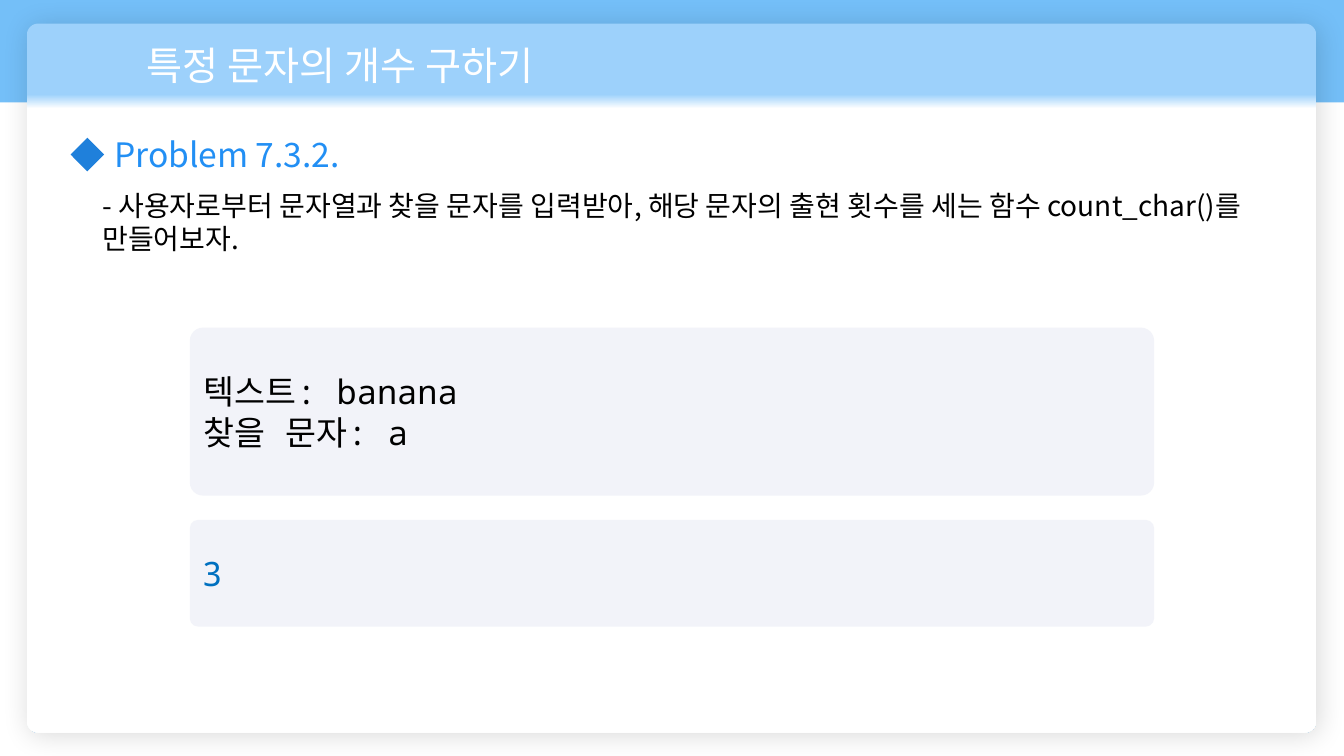
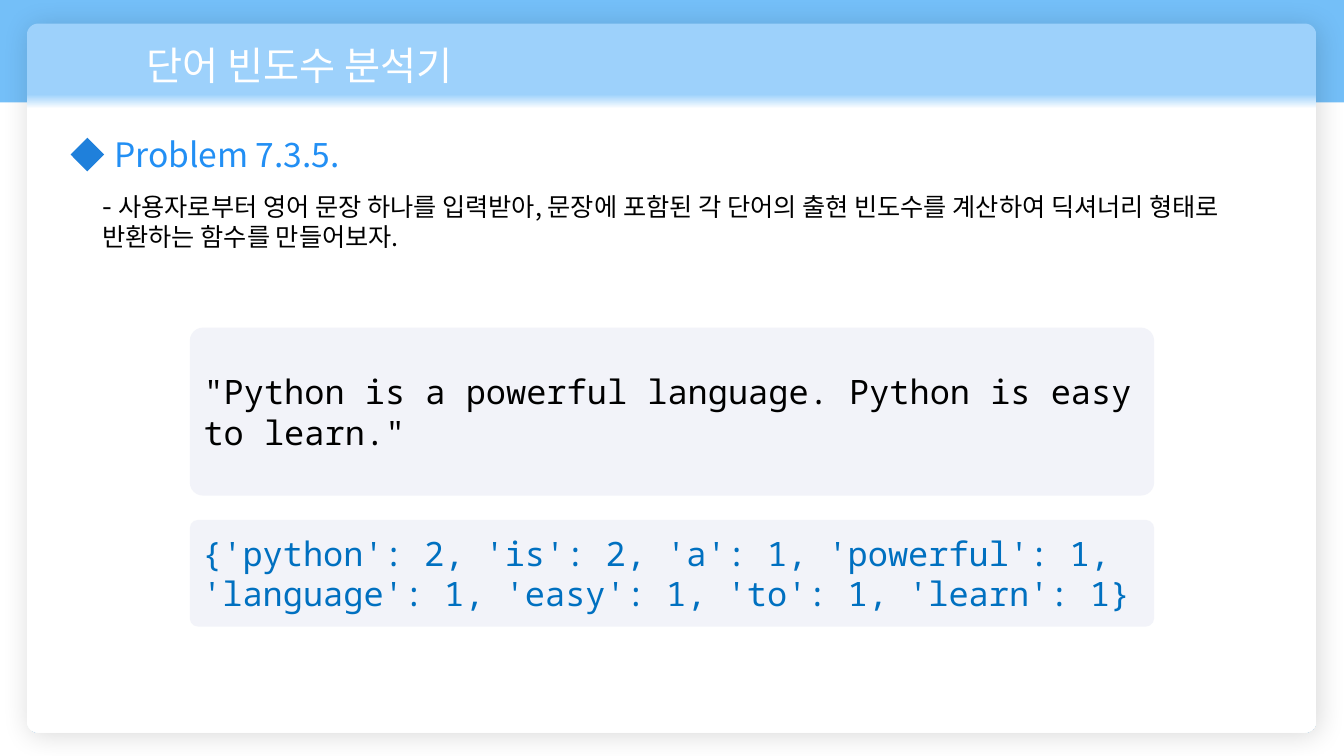
from lxml.etree import SubElement
from pptx import Presentation
from pptx.dml.color import RGBColor
from pptx.enum.shapes import MSO_SHAPE
from pptx.enum.text import MSO_ANCHOR, MSO_AUTO_SIZE, PP_ALIGN
from pptx.oxml import parse_xml
from pptx.oxml.ns import nsdecls, qn
from pptx.util import Inches, Pt

HUES = {
    "band": "74BFF8",
    "head": "9DD1FB",
    "card": "FFFFFF",
    "name": "228FF4",
    "mark": "1F80DB",
    "pane": "F2F3F9",
    "ink": "000000",
    "out": "0070C0",
}
SANS, MONO = "Noto Sans CJK KR", "Noto Sans Mono"
COLS, ROWS = 160, 90


class Deck:
    """Hold the style and the current slide, placed on a 160 by 90 grid."""

    def __init__(self):
        self.prs = Presentation()
        self.prs.slide_width = Inches(13.33)
        self.prs.slide_height = Inches(7.5)
        self.slide = None

    def place(self, x, y, w, h):
        col = self.prs.slide_width / COLS
        row = self.prs.slide_height / ROWS
        return [round(v) for v in (x * col, y * row, w * col, h * row)]

    def shape(self, kind, spot, hue, bend=None):
        item = self.slide.shapes.add_shape(kind, *self.place(*spot))
        item.shadow.inherit = False
        item.fill.solid()
        item.fill.fore_color.rgb = RGBColor.from_string(HUES[hue])
        item.line.fill.background()
        if bend is not None:
            item.adjustments[0] = bend
        return item

    def words(self, frame, runs, hue, face):
        frame.word_wrap = True
        para = frame.paragraphs[0]
        para.alignment = PP_ALIGN.LEFT
        for text, size in runs:
            for i, line in enumerate(text.split("\n")):
                if i:
                    para.add_line_break()
                run = para.add_run()
                run.text = line
                run.font.size = Pt(size)
                run.font.name = face
                run.font.color.rgb = RGBColor.from_string(HUES[hue])
                SubElement(run.font._element, qn("a:ea"), typeface=face)

    def text(self, spot, runs, hue):
        box = self.slide.shapes.add_textbox(*self.place(*spot))
        self.words(box.text_frame, runs, hue, SANS)
        box.text_frame.auto_size = MSO_AUTO_SIZE.SHAPE_TO_FIT_TEXT

    def pane(self, y, h, text, hue):
        item = self.shape(MSO_SHAPE.ROUNDED_RECTANGLE, (22.6, y, 114.8, h), "pane", 0.078)
        item.text_frame.vertical_anchor = MSO_ANCHOR.MIDDLE
        self.words(item.text_frame, [(text, 24)], hue, MONO)

    def card(self):
        item = self.shape(MSO_SHAPE.ROUNDED_RECTANGLE, (3.2, 2.8, 153.5, 84.4), "card", 0.016)
        props = item._element.spPr
        stops = "".join(
            f'<a:gs pos="{pos * 1000}"><a:srgbClr val="{HUES[hue]}"/></a:gs>'
            for pos, hue in ((10, "head"), (12, "card"), (100, "card"))
        )
        fill = parse_xml(
            f'<a:gradFill {nsdecls("a")} rotWithShape="1"><a:gsLst>{stops}</a:gsLst>'
            '<a:lin ang="5400000" scaled="0"/></a:gradFill>'
        )
        props.replace(props.find(qn("a:solidFill")), fill)
        glow = SubElement(
            props.find(qn("a:effectLst")), qn("a:outerShdw"),
            blurRad=str(Pt(20)), dist=str(Pt(3)), dir="2700000", algn="tl", rotWithShape="0",
        )
        tint = SubElement(glow, qn("a:srgbClr"), val=HUES["ink"])
        SubElement(tint, qn("a:alpha"), val="14000")

    def page(self, title, name, task, given, result):
        self.slide = self.prs.slides.add_slide(self.prs.slide_layouts[6])
        self.shape(MSO_SHAPE.RECTANGLE, (0, 0, COLS, 12.2), "band")
        self.card()
        self.text((16.3, 4.3, 78, 6.8), [(title, 28)], "card")
        self.text((12.4, 15.4, 61.3, 6), [(name, 24)], "name")
        self.shape(MSO_SHAPE.DIAMOND, (8.4, 16.4, 4, 4), "mark")
        self.text((11, 21.8, 139.7, 9.2), task, "ink")
        self.pane(39, 20, given, "ink")
        self.pane(61.9, 12.7, result, "out")


def main():
    deck = Deck()
    deck.page(
        "특정 문자의 개수 구하기",
        "Problem 7.3.2.",
        [("- 사용자로부터 문자열과 찾을 문자를 입력받아, 해당 문자의 출현 횟수를 세는 함수 "
          "count_char()를 만들어보자.", 20)],
        "텍스트: banana\n찾을 문자: a",
        "3",
    )
    deck.page(
        "단어 빈도수 분석기",
        "Problem 7.3.5.",
        [("- ", 20),
         ("사용자로부터 영어 문장 하나를 입력받아, 문장에 포함된 각 단어의 출현 빈도수를 "
          "계산하여 딕셔너리 형태로 반환하는 함수를 만들어보자.", 18)],
        '"Python is a powerful language. Python is easy to learn."',
        "{'python': 2, 'is': 2, 'a': 1, 'powerful': 1, "
        "'language': 1, 'easy': 1, 'to': 1, 'learn': 1}",
    )
    deck.prs.save("out.pptx")


if __name__ == "__main__":
    main()
